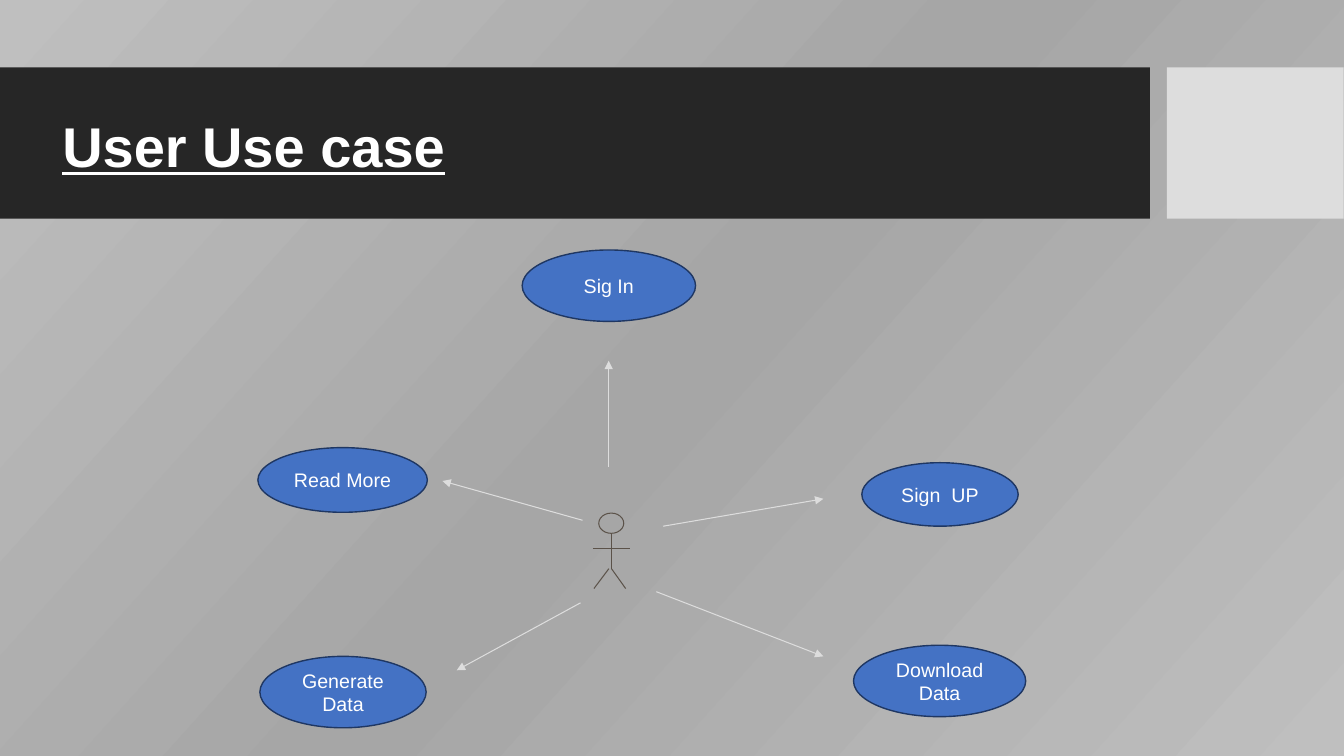
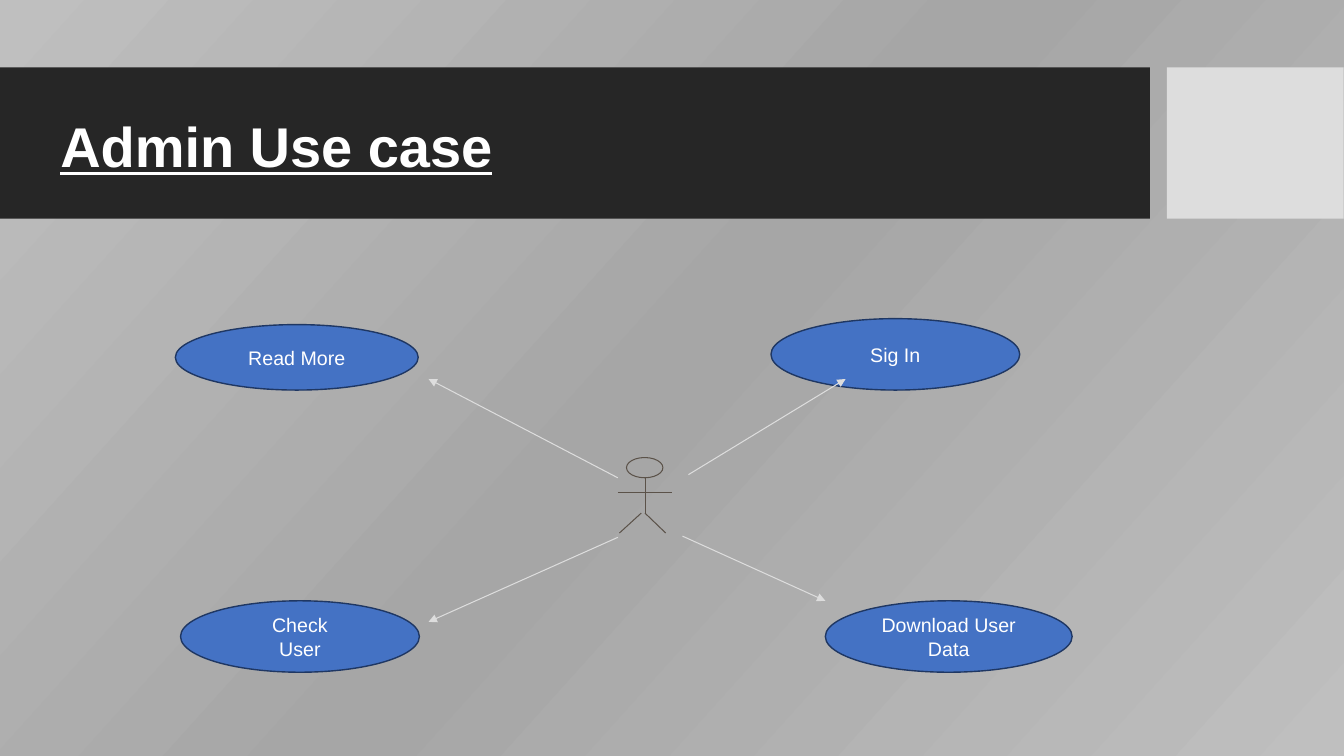
"""Build two use case slides: an actor with arrows to its use cases."""
from copy import deepcopy

from lxml.etree import SubElement
from pptx import Presentation
from pptx.dml.color import RGBColor
from pptx.enum.shapes import MSO_CONNECTOR, MSO_SHAPE
from pptx.enum.text import MSO_ANCHOR, PP_ALIGN
from pptx.oxml.ns import qn
from pptx.util import Cm, Pt

THEME = {
    "stops": [(0, "BFBFBF"), (0.5, "A6A6A6"), (1, "BFBFBF")],
    "band": "262626",
    "accent": "DDDDDD",
    "actor": "5B5249",
    "oval": "4472C4",
    "oval_line": "1F3763",
    "text": "FFFFFF",
    "title": {"name": "Arial", "size": Pt(40), "bold": True, "underline": True},
    "label": {"name": "Arial", "size": Pt(14)},
}

BANDS = [((0, 1.7, 28.98, 3.81), "band"), ((29.41, 1.7, 4.45, 3.81), "accent")]

ACTOR_HEAD = (0.16, 0, 0.67, 0.51)
ACTOR_LIMBS = [
    (0.5, 0.51, 0.5, 1.4),
    (0, 0.89, 1, 0.89),
    (0.43, 1.4, 0.03, 1.9),
    (0.5, 1.4, 0.88, 1.9),
]

SLIDES = [
    {
        "title": ("User Use case", 0.05, 11.53),
        "actor": (14.94, 12.93, 0.94),
        "ovals": [
            ("Sig In", 13.16, 6.3, 4.37, 1.8),
            ("Download Data", 21.51, 16.26, 4.34, 1.8),
            ("Sign  UP", 21.72, 11.66, 3.94, 1.6),
            ("Generate Data", 6.55, 16.54, 4.19, 1.8),
            ("Read More", 6.5, 11.28, 4.27, 1.63),
        ],
        "arrows": [
            (15.34, 11.76, 15.34, 9.09),
            (16.71, 13.26, 20.75, 12.57),
            (16.54, 14.91, 20.75, 16.54),
            (14.63, 15.19, 11.51, 16.89),
            (14.68, 13.11, 11.15, 12.12),
        ],
    },
    {
        "title": ("Admin Use case", 0, 12.8),
        "actor": (15.57, 11.53, 1.37),
        "ovals": [
            ("Sig In", 19.43, 8.03, 6.27, 1.8),
            ("Download User Data", 20.8, 15.14, 6.22, 1.8),
            ("Check\vUser", 4.55, 15.14, 6.02, 1.8),
            ("Read More", 4.42, 8.18, 6.12, 1.65),
        ],
        "arrows": [
            (17.35, 11.96, 21.31, 9.55),
            (17.2, 13.51, 20.8, 15.14),
            (15.57, 13.54, 10.8, 15.67),
            (15.57, 12.04, 10.8, 9.55),
        ],
    },
]


def add_box(shapes, kind, box, fill=None, line=None, width=1):
    sp = shapes.add_shape(kind, *map(Cm, box))
    sp.shadow.inherit = False
    for part, color in ((sp.fill, fill), (sp.line.fill, line)):
        if color:
            part.solid()
            part.fore_color.rgb = RGBColor.from_string(THEME[color])
        else:
            part.background()
    if line:
        sp.line.width = Pt(width)
    return sp


def add_line(shapes, ends, color, arrow=False):
    cn = shapes.add_connector(MSO_CONNECTOR.STRAIGHT, *map(Cm, ends))
    cn.line.color.rgb = RGBColor.from_string(THEME[color])
    cn.line.width = Pt(0.75)
    spPr = cn._element.spPr
    if arrow:
        SubElement(spPr.find(qn("a:ln")), qn("a:tailEnd"), type="triangle")
    SubElement(spPr, qn("a:effectLst"))


prs = Presentation()
prs.slide_width, prs.slide_height = Cm(33.87), Cm(19.05)

master = prs.slide_master
fill = master.background.fill
fill.gradient()
fill.gradient_angle = 318
gs_lst = master.element.find(".//" + qn("a:gsLst"))
gs_lst.append(deepcopy(gs_lst[0]))
for stop, (position, color) in zip(fill.gradient_stops, THEME["stops"]):
    stop.position = position
    stop.color.rgb = RGBColor.from_string(color)

for data in SLIDES:
    s = prs.slides.add_slide(prs.slide_layouts[6])
    texts = []

    for box, color in BANDS:
        add_box(s.shapes, MSO_SHAPE.RECTANGLE, box, color)

    left, top, width = data["actor"]
    actor = s.shapes.add_group_shape()
    x, y, w, h = ACTOR_HEAD
    head = (left + x * width, top + y, w * width, h)
    add_box(actor.shapes, MSO_SHAPE.OVAL, head, line="actor", width=0.75)
    for x1, y1, x2, y2 in ACTOR_LIMBS:
        limb = (left + x1 * width, top + y1, left + x2 * width, top + y2)
        add_line(actor.shapes, limb, "actor")

    for label, *box in data["ovals"]:
        sp = add_box(s.shapes, MSO_SHAPE.OVAL, box, "oval", "oval_line")
        sp.text_frame.word_wrap = True
        texts.append((sp, label, "label", PP_ALIGN.CENTER))

    for ends in data["arrows"]:
        add_line(s.shapes, ends, "accent", arrow=True)

    title, left, width = data["title"]
    sp = s.shapes.add_textbox(Cm(left), Cm(2.67), Cm(width), Cm(1.96))
    sp.text_frame.word_wrap = False
    sp.text_frame.paragraphs[0]._p.get_or_add_pPr().set("indent", str(Cm(1.27)))
    texts.append((sp, title, "title", PP_ALIGN.LEFT))

    for sp, text, style, align in texts:
        tf = sp.text_frame
        tf.vertical_anchor = MSO_ANCHOR.MIDDLE
        p = tf.paragraphs[0]
        p.text = text
        p.alignment = align
        for r in p.runs:
            r.font.color.rgb = RGBColor.from_string(THEME["text"])
            for name, value in THEME[style].items():
                setattr(r.font, name, value)

prs.save("out.pptx")
